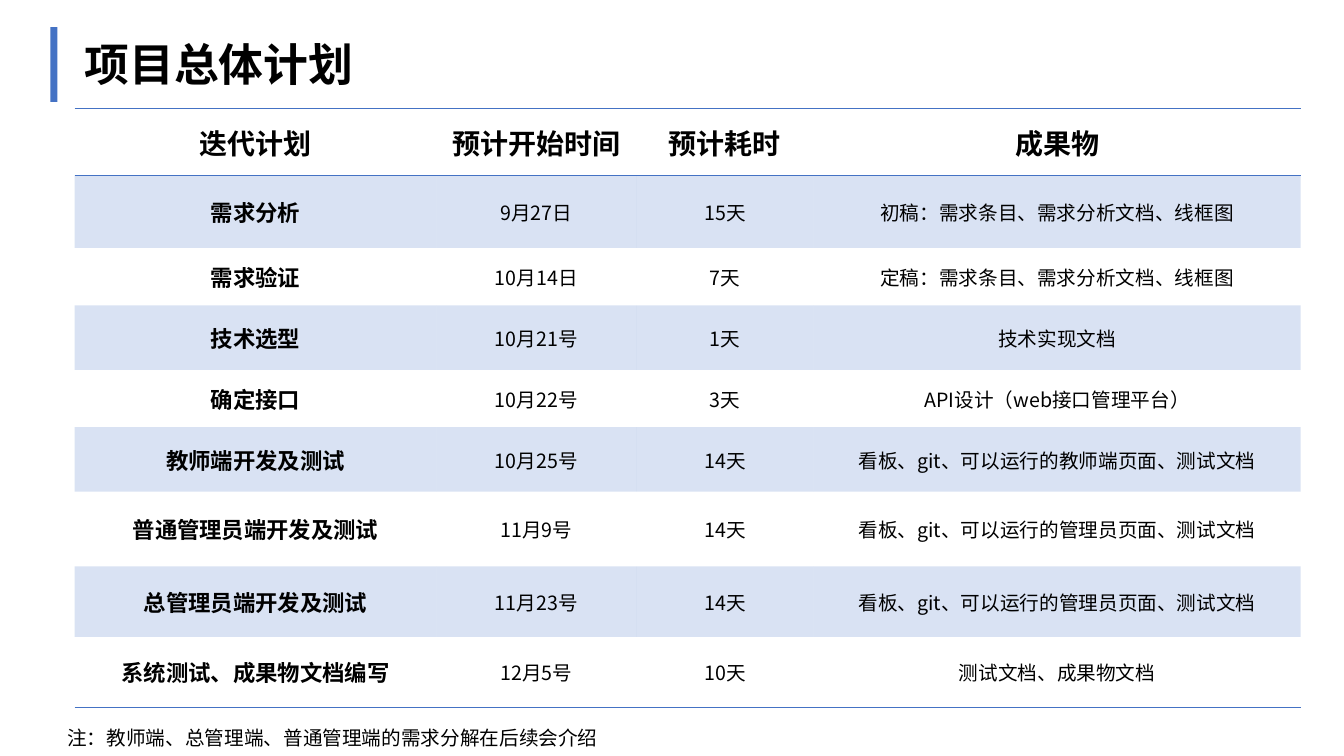
import pptx
import pptx.dml.color
import pptx.enum.shapes
import pptx.enum.text
import pptx.oxml
import pptx.oxml.ns
import pptx.util

COLORS = {"accent": "4472C4", "text": "000000"}
FONT = "Noto Sans CJK SC"
NO_STYLE = "{2D5ABB26-0587-4C30-8999-92F81FD0307C}"
COLUMN_WIDTHS = [3.59, 1.98, 1.76, 4.83]
ROW_HEIGHTS = [0.66, 0.72, 0.57, 0.64, 0.57, 0.64, 0.74, 0.7, 0.7]
PLAN = [
    ("迭代计划", "预计开始时间", "预计耗时", "成果物"),
    ("需求分析", "9月27日", "15天", "初稿：需求条目、需求分析文档、线框图"),
    ("需求验证", "10月14日", "7天", "定稿：需求条目、需求分析文档、线框图"),
    ("技术选型", "10月21号", "1天", "技术实现文档"),
    ("确定接口", "10月22号", "3天", "API设计（web接口管理平台）"),
    ("教师端开发及测试", "10月25号", "14天", "看板、git、可以运行的教师端页面、测试文档"),
    ("普通管理员端开发及测试", "11月9号", "14天", "看板、git、可以运行的管理员页面、测试文档"),
    ("总管理员端开发及测试", "11月23号", "14天", "看板、git、可以运行的管理员页面、测试文档"),
    ("系统测试、成果物文档编写", "12月5号", "10天", "测试文档、成果物文档"),
]


def inches(*lengths):
    return [pptx.util.Inches(length) for length in lengths]


def color(name):
    return pptx.dml.color.RGBColor.from_string(COLORS[name])


def add_xml(parent, xml):
    element = pptx.oxml.parse_xml(xml.replace(" ", f" {pptx.oxml.ns.nsdecls('a')} ", 1))
    parent.append(element)


def write(frame, text, size, bold=False):
    frame.text = text
    para = frame.paragraphs[0]
    for span in para.runs:
        span.font.size = pptx.util.Pt(size)
        span.font.bold = bold
        span.font.color.rgb = color("text")
        span.font.name = FONT
        add_xml(span.font._element, f'<a:ea typeface="{FONT}"/>')
    return para


def add_text(slide, box, text, size, bold=False):
    frame = slide.shapes.add_textbox(*inches(*box)).text_frame
    frame.word_wrap = False
    frame.auto_size = pptx.enum.text.MSO_AUTO_SIZE.SHAPE_TO_FIT_TEXT
    write(frame, text, size, bold)


def add_title(slide, box):
    left, top, width, height = box
    # Accent bar beside the heading
    bar = slide.shapes.add_shape(pptx.enum.shapes.MSO_SHAPE.RECTANGLE,
                                 *inches(left, top, 0.07, height))
    bar.shadow.inherit = False
    bar.fill.solid()
    bar.fill.fore_color.rgb = color("accent")
    bar.line.fill.background()
    # Heading
    add_text(slide, (left + 0.24, top + 0.05, width - 0.24, height - 0.1),
             "项目总体计划", 32, True)


def add_border(cell, side):
    add_xml(cell._tc.get_or_add_tcPr(),
            f'<a:ln{side} w="12700"><a:solidFill><a:srgbClr val="{COLORS["accent"]}"/>'
            f'</a:solidFill></a:ln{side}>')


def style_cell(cell, text, row, column):
    cell.vertical_anchor = pptx.enum.text.MSO_ANCHOR.MIDDLE
    cell.margin_left = cell.margin_right = pptx.util.Inches(0.07)
    cell.margin_top = cell.margin_bottom = 0
    size = 20 if row == 0 else 16 if column == 0 else 14
    para = write(cell.text_frame, text, size, row == 0 or column == 0)
    para.alignment = pptx.enum.text.PP_ALIGN.CENTER
    para.space_before = para.space_after = pptx.util.Pt(1.8)
    # Rules above and below the header, and below the last row
    if row == 0:
        add_border(cell, "T")
    if row in (0, len(PLAN) - 1):
        add_border(cell, "B")
    # Tinted bands on odd rows
    if row % 2:
        cell.fill.solid()
        cell.fill.fore_color.rgb = color("accent")
        tint = next(cell._tc.tcPr.iter(pptx.oxml.ns.qn("a:srgbClr")))
        add_xml(tint, '<a:alpha val="20000"/>')
    else:
        cell.fill.background()


def add_plan(slide, box):
    frame = slide.shapes.add_table(len(PLAN), len(COLUMN_WIDTHS), *inches(*box))
    table = frame.table
    table._tbl.tblPr.find(pptx.oxml.ns.qn("a:tableStyleId")).text = NO_STYLE
    for column, width in zip(table.columns, inches(*COLUMN_WIDTHS)):
        column.width = width
    for row, height in zip(table.rows, inches(*ROW_HEIGHTS)):
        row.height = height
    for row, texts in enumerate(PLAN):
        for column, text in enumerate(texts):
            style_cell(table.cell(row, column), text, row, column)


def main():
    deck = pptx.Presentation()
    deck.slide_width, deck.slide_height = inches(13.33, 7.5)
    slide = deck.slides.add_slide(deck.slide_layouts[6])
    add_plan(slide, (0.74, 1.08, sum(COLUMN_WIDTHS), sum(ROW_HEIGHTS)))
    add_title(slide, (0.5, 0.27, 3.13, 0.74))
    # Footnote
    add_text(slide, (0.57, 7.15, 5.5, 0.34),
             "注：教师端、总管理端、普通管理端的需求分解在后续会介绍", 14)
    deck.save("out.pptx")


if __name__ == "__main__":
    main()
